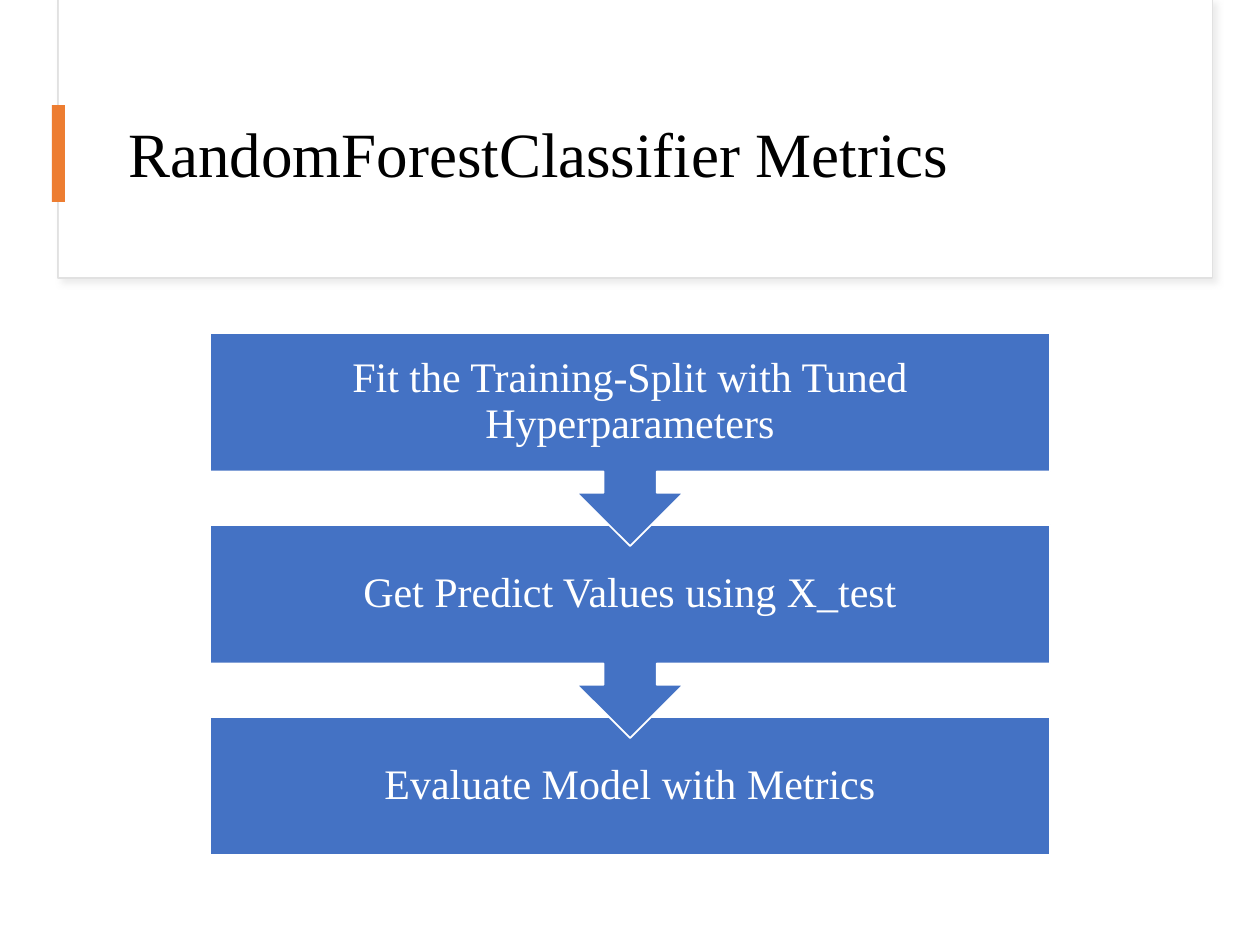
"""Build the RandomForestClassifier metrics slide with its three-step flow."""
import pptx
import pptx.dml.color
import pptx.enum.shapes
import pptx.enum.text
import pptx.oxml
import pptx.oxml.ns
import pptx.util

SCALE = 914400 / 126
THEME = {
    "font": "Times New Roman",
    "title_size": 36,
    "step_size": 24,
    "white": "FFFFFF",
    "black": "000000",
    "border": "E1E1E1",
    "shadow": "D9D9D9",
    "accent": "ED7D31",
    "step": "4472C4",
}
MSO = pptx.enum.shapes.MSO_SHAPE
ALIGN = pptx.enum.text.PP_ALIGN


def add_box(shapes, kind, box, fill, line=None, width=1):
    sp = shapes.add_shape(kind, *(round(v * SCALE) for v in box))
    sp.shadow.inherit = False
    sp.fill.solid()
    sp.fill.fore_color.rgb = pptx.dml.color.RGBColor.from_string(THEME[fill])
    if line:
        sp.line.color.rgb = pptx.dml.color.RGBColor.from_string(THEME[line])
        sp.line.width = pptx.util.Pt(width)
    else:
        sp.line.fill.background()
    return sp


def add_text(shapes, text, box, size, color, align=ALIGN.LEFT, inset=None):
    sp = shapes.add_textbox(*(round(v * SCALE) for v in box))
    tf = sp.text_frame
    tf.word_wrap = True
    tf.vertical_anchor = pptx.enum.text.MSO_ANCHOR.MIDDLE
    if inset is not None:
        margin = round(inset * SCALE)
        tf.margin_left = tf.margin_right = tf.margin_top = tf.margin_bottom = margin
    p = tf.paragraphs[0]
    p.alignment = align
    p.line_spacing = 0.9
    r = p.add_run()
    r.text = text
    r.font.name = THEME["font"]
    r.font.size = pptx.util.Pt(THEME[size])
    r.font.color.rgb = pptx.dml.color.RGBColor.from_string(THEME[color])


prs = pptx.Presentation()
prs.slide_width = pptx.util.Inches(10)
prs.slide_height = pptx.util.Inches(7.5)
s = prs.slides.add_slide(prs.slide_layouts[6])

card = add_box(s.shapes, MSO.RECTANGLE, (58, 0, 1154, 278), "white", "border", 0.75)
effects = card.fill._xPr.find(pptx.oxml.ns.qn("a:effectLst"))
effects.append(pptx.oxml.parse_xml(
    f'<a:outerShdw {pptx.oxml.ns.nsdecls("a")} blurRad="50800" dist="38100" '
    'dir="2700000" algn="tl" rotWithShape="0">'
    f'<a:srgbClr val="{THEME["shadow"]}"><a:alpha val="50000"/></a:srgbClr>'
    '</a:outerShdw>'
))
add_box(s.shapes, MSO.RECTANGLE, (59, 0, 1153, 277), "white")
add_text(s.shapes, "RandomForestClassifier Metrics", (116, 76, 1051, 163),
         size="title_size", color="black")
add_box(s.shapes, MSO.RECTANGLE, (52, 105, 13, 97), "accent")

steps = [
    "Fit the Training-Split with Tuned Hyperparameters",
    "Get Predict Values using X_test",
    "Evaluate Model with Metrics",
]
left, top, width, height, pitch, callout_height = 210, 333, 840, 138, 192, 213
flow = s.shapes.add_group_shape().shapes
for i, text in reversed(list(enumerate(steps))):
    y = top + i * pitch
    if i == len(steps) - 1:
        add_box(flow, MSO.RECTANGLE, (left, y, width, height), "step", "white")
    else:
        sp = add_box(flow, MSO.UP_ARROW_CALLOUT, (left, y, width, callout_height),
                     "step", "white")
        sp.rotation = 180
    add_text(flow, text, (left, y, width, height), size="step_size", color="white",
             align=ALIGN.CENTER, inset=24)

prs.save("out.pptx")
